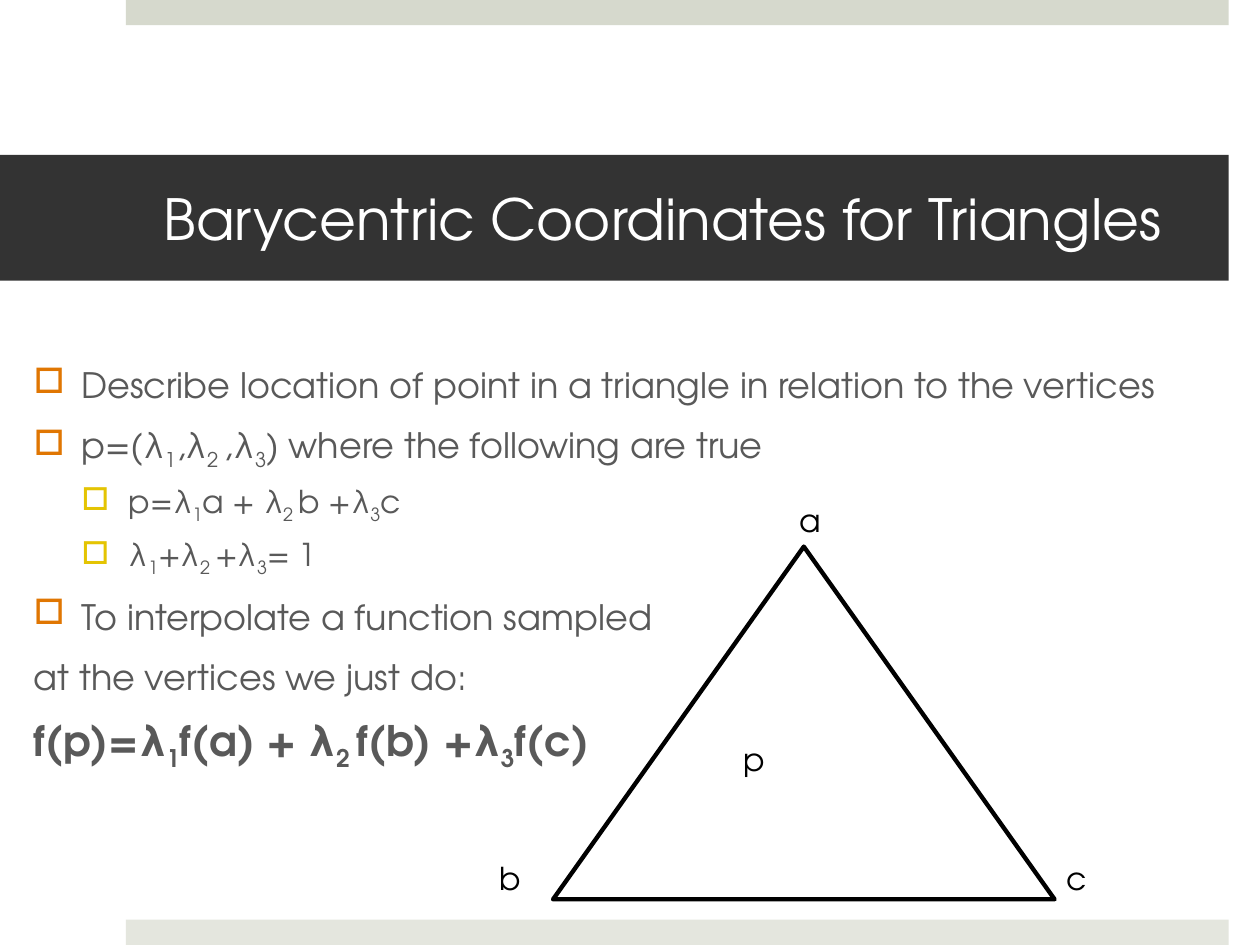
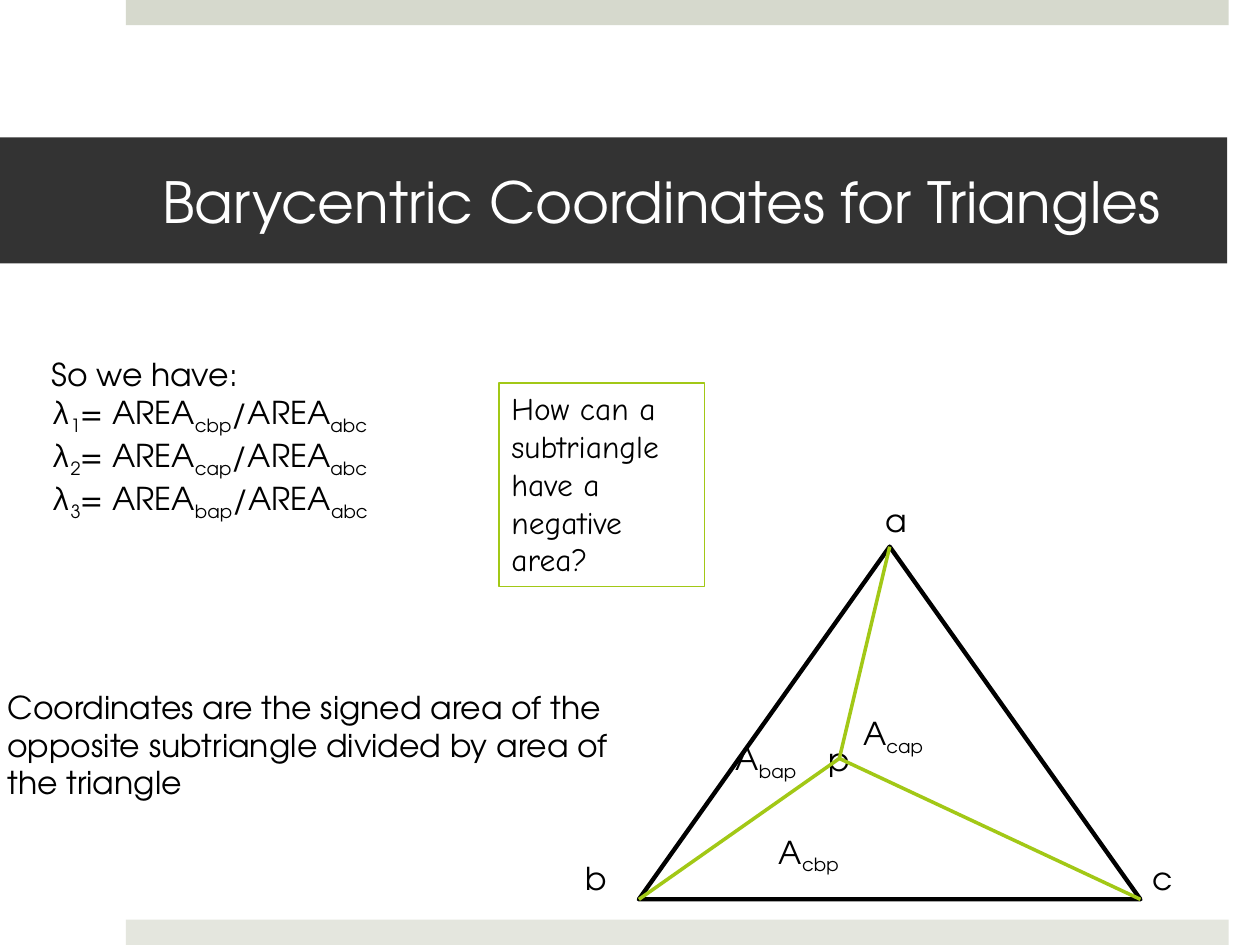
from dataclasses import dataclass

from lxml import etree
from pptx import Presentation
from pptx.dml.color import RGBColor
from pptx.enum.shapes import MSO_CONNECTOR, MSO_SHAPE
from pptx.enum.text import MSO_ANCHOR, MSO_AUTO_SIZE, PP_ALIGN
from pptx.oxml.ns import qn
from pptx.util import Cm, Pt

RECTANGLE = MSO_SHAPE.RECTANGLE
TRIANGLE = MSO_SHAPE.ISOSCELES_TRIANGLE
STRAIGHT = MSO_CONNECTOR.STRAIGHT
MIDDLE, TOP = MSO_ANCHOR.MIDDLE, MSO_ANCHOR.TOP
NO_AUTOFIT = MSO_AUTO_SIZE.NONE
LEFT = PP_ALIGN.LEFT
TITLE_ONLY = 5


@dataclass(frozen=True)
class Theme:
    font: str = "TeX Gyre Adventor"
    note_font: str = "Comic Neue"
    white: str = "FFFFFF"
    black: str = "000000"
    title_band: str = "333333"
    top_band: str = "D6D9CD"
    bottom_band: str = "E4E6DE"
    body: str = "595959"
    green: str = "A2C816"
    bullets: tuple = ("E07602", "E4C402")
    title_size: float = 32.4
    body_size: float = 20
    text_size: float = 18
    formula_size: float = 24


THEME = Theme()
TITLE = "Barycentric Coordinates for Triangles"

TRIANGLE_TOP, TRIANGLE_WIDTH, TRIANGLE_HEIGHT = 11.02, 10.11, 7.11
# Places relative to the top left corner of the triangle's frame
LABELS = {"p": (3.58, 3.78), "a": (4.72, -1.04), "b": (-1.32, 6.17), "c": (10.11, 6.17)}
AREA_LABELS = {"cap": (4.27, 3.25), "bap": (1.7, 3.76), "cbp": (2.57, 5.64)}
VERTICES = ((TRIANGLE_WIDTH / 2, 0), (0, TRIANGLE_HEIGHT), (TRIANGLE_WIDTH, TRIANGLE_HEIGHT))
INNER_POINT = (4.04, 4.27)


def apply(target, formats):
    for attribute, value in formats.items():
        setattr(target, attribute, value)


def box(left, top, width, height):
    return [Cm(length) for length in (left, top, width, height)]


class Deck:
    def __init__(self, theme):
        self.theme = theme
        self.presentation = Presentation()
        apply(self.presentation, {"slide_width": Cm(25.4), "slide_height": Cm(19.05)})
        self.slide = None

    def add_slide(self, title, left, top):
        layout = self.presentation.slide_layouts[TITLE_ONLY]
        self.slide = self.presentation.slides.add_slide(layout)
        for band_top, color in ((0, self.theme.top_band), (18.54, self.theme.bottom_band)):
            self.shape(RECTANGLE, (2.54, band_top, 22.23, 0.51), fill=color)
        self.title(title, left, top)

    def title(self, text, left, top):
        heading = self.slide.shapes.title
        apply(heading, dict(zip(("left", "top", "width", "height"), box(left, top, 24.77, 2.54))))
        heading.fill.solid()
        heading.fill.fore_color.rgb = RGBColor.from_string(self.theme.title_band)
        apply(heading.text_frame, {
            "margin_left": Cm(3.3), "margin_right": Cm(0.76),
            "margin_top": Cm(0.13), "margin_bottom": Cm(0.13),
            "vertical_anchor": MIDDLE, "auto_size": NO_AUTOFIT, "word_wrap": True,
        })
        self.fill_paragraph(heading.text_frame.paragraphs[0], text,
                            size=self.theme.title_size, color=self.theme.white)

    def fill_paragraph(self, paragraph, text, size=None, color=None, font=None, bold=False):
        """Add the text as runs; every second part between bars is a subscript."""
        paragraph.alignment = LEFT
        for index, part in enumerate(text.split("|")):
            if not part:
                continue
            run = paragraph.add_run()
            run.text = part
            apply(run.font, {"name": font or self.theme.font,
                             "size": Pt(size or self.theme.text_size), "bold": bold})
            run.font.color.rgb = RGBColor.from_string(color or self.theme.black)
            if index % 2:
                run._r.get_or_add_rPr().set("baseline", "-25000")

    def bullet(self, paragraph, level):
        properties = paragraph._p.get_or_add_pPr()
        properties.set("marL", str(Cm(0.96 * (level + 1))))
        properties.set("indent", str(Cm(-0.96)))
        color = etree.SubElement(properties, qn("a:buClr"))
        etree.SubElement(color, qn("a:srgbClr")).set("val", self.theme.bullets[level])
        etree.SubElement(properties, qn("a:buChar")).set("char", "□")

    def text(self, place, lines):
        frame = self.slide.shapes.add_textbox(*box(*place)).text_frame
        frame.word_wrap = True
        for index, line in enumerate(lines):
            paragraph = frame.add_paragraph() if index else frame.paragraphs[0]
            self.fill_paragraph(paragraph, line)

    def outline(self, place, items):
        """Items are (text, bullet level or None, size, bold, space before)."""
        frame = self.slide.shapes.add_textbox(*box(*place)).text_frame
        frame.word_wrap = True
        for index, (text, level, size, bold, space) in enumerate(items):
            paragraph = frame.add_paragraph() if index else frame.paragraphs[0]
            apply(paragraph, {"level": level or 0, "space_before": Pt(space)})
            if level is not None:
                self.bullet(paragraph, level)
            self.fill_paragraph(paragraph, text, size, self.theme.body, bold=bold)

    def shape(self, kind, place, fill=None, line=None, weight=1):
        shape = self.slide.shapes.add_shape(kind, *box(*place))
        shape.shadow.inherit = False
        if fill:
            shape.fill.solid()
            shape.fill.fore_color.rgb = RGBColor.from_string(fill)
        else:
            shape.fill.background()
        if line:
            shape.line.color.rgb = RGBColor.from_string(line)
            shape.line.width = Pt(weight)
        else:
            shape.line.fill.background()
        return shape

    def note(self, place, text):
        frame = self.shape(RECTANGLE, place, line=self.theme.green, weight=0.75).text_frame
        apply(frame, {"word_wrap": True, "vertical_anchor": TOP})
        self.fill_paragraph(frame.paragraphs[0], text, font=self.theme.note_font)

    def line(self, start, end):
        ends = [Cm(length) for length in (*start, *end)]
        connector = self.slide.shapes.add_connector(STRAIGHT, *ends)
        connector.line.color.rgb = RGBColor.from_string(self.theme.green)
        connector.line.width = Pt(2)
        etree.SubElement(connector._element.spPr, qn("a:effectLst"))

    def labelled_triangle(self, left):
        self.shape(TRIANGLE, (left, TRIANGLE_TOP, TRIANGLE_WIDTH, TRIANGLE_HEIGHT),
                   line=self.theme.black, weight=2.5)
        for label, (x, y) in LABELS.items():
            self.text((left + x, TRIANGLE_TOP + y, 1.2, 1.02), [label])

    def subtriangles(self, left):
        center = (left + INNER_POINT[0], TRIANGLE_TOP + INNER_POINT[1])
        for x, y in VERTICES:
            self.line((left + x, TRIANGLE_TOP + y), center)
        for area, (x, y) in AREA_LABELS.items():
            self.text((left + x, TRIANGLE_TOP + y, 3.38, 1.02), [f"A|{area}"])


def definition_slide(deck):
    body, sub, formula = THEME.body_size, THEME.text_size, THEME.formula_size
    deck.add_slide(TITLE, 0, 3.12)
    deck.outline((0.43, 7.21, 23.8, 10.19), [
        ("Describe location of point in a triangle in relation to the vertices", 0, body, False, 10),
        ("p=(λ|1|,λ|2 |,λ|3|) where the following are true", 0, body, False, 10),
        ("p=λ|1|a + λ|2 |b +λ|3|c", 1, sub, False, 6),
        ("λ|1|+λ|2 |+λ|3|= 1", 1, sub, False, 6),
        ("To interpolate a function sampled", 0, body, False, 10),
        ("at the vertices we just do:", None, body, False, 10),
        ("f(p)=λ|1|f(a) + λ|2 |f(b) +λ|3|f(c)", None, formula, True, 10),
    ])
    deck.labelled_triangle(11.15)


def area_slide(deck):
    triangle_left = 12.88
    deck.add_slide(TITLE, -0.03, 2.77)
    deck.labelled_triangle(triangle_left)
    deck.subtriangles(triangle_left)
    deck.text((-0.1, 13.74, 12.98, 4.11), [
        "Coordinates are the signed area of the",
        "opposite subtriangle divided by area of the triangle",
    ])
    ratios = [f"λ|{number}|= AREA|{area}|/AREA|abc"
              for number, area in enumerate(("cbp", "cap", "bap"), 1)]
    deck.text((0.79, 7.04, 9, 5.13), ["So we have:", *ratios])
    deck.note((10.06, 7.72, 4.14, 4.11), "How can a subtriangle have a negative area?")


def main():
    deck = Deck(THEME)
    definition_slide(deck)
    area_slide(deck)
    deck.presentation.save("out.pptx")


if __name__ == "__main__":
    main()
